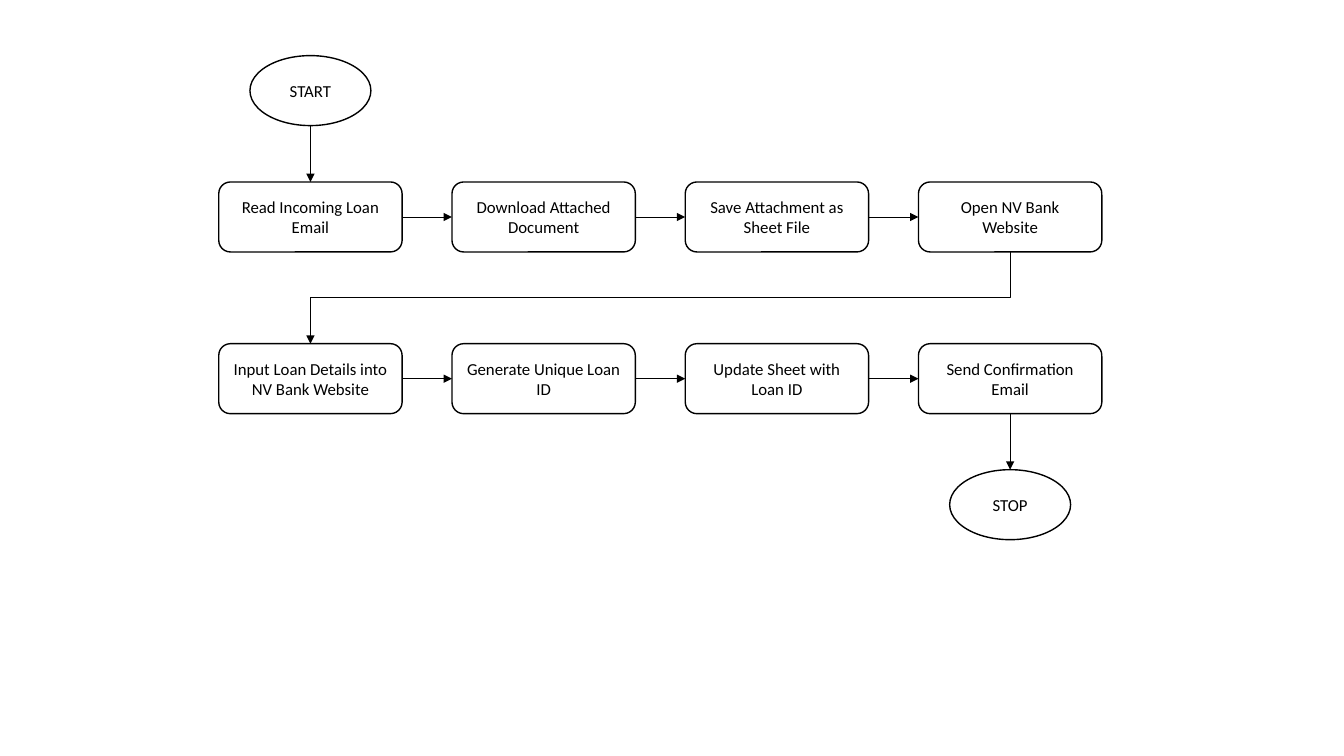
from lxml import etree
from pptx import Presentation
from pptx.dml.color import RGBColor
from pptx.enum.shapes import MSO_CONNECTOR, MSO_SHAPE
from pptx.enum.text import MSO_ANCHOR, PP_ALIGN
from pptx.oxml.ns import qn
from pptx.util import Pt

STEP_SHAPE, TERMINAL_SHAPE = MSO_SHAPE.ROUNDED_RECTANGLE, MSO_SHAPE.OVAL
STRAIGHT, ELBOW = MSO_CONNECTOR.STRAIGHT, MSO_CONNECTOR.ELBOW
CENTER, MIDDLE = PP_ALIGN.CENTER, MSO_ANCHOR.MIDDLE
TOP, LEFT, BOTTOM, RIGHT = range(4)

COLORS = {"ink": "000000", "paper": "FFFFFF"}
FONT = "Calibri"

STEP_WIDTH, TERMINAL_WIDTH, NODE_HEIGHT = 131, 86.4, 50
FIRST_CENTER, COLUMN_PITCH = 221.75, 166.6
START_TOP, STOP_TOP = 39.75, 335.5
ROW_TOPS = (130, 245.5)
STEPS = (
    ("Read Incoming Loan Email", "Download Attached Document",
     "Save Attachment as Sheet File", "Open NV Bank Website"),
    ("Input Loan Details into NV Bank Website", "Generate Unique Loan ID",
     "Update Sheet with Loan ID", "Send Confirmation Email"),
)


def column_center(column):
    return FIRST_CENTER + column * COLUMN_PITCH


def add_node(slide, kind, label, column, top, width):
    """Add an outlined flowchart node centred on its column."""
    left = column_center(column) - width / 2
    node = slide.shapes.add_shape(kind, Pt(left), Pt(top), Pt(width), Pt(NODE_HEIGHT))
    node.shadow.inherit = False
    node.fill.solid()
    node.fill.fore_color.rgb = RGBColor.from_string(COLORS["paper"])
    node.line.color.rgb = RGBColor.from_string(COLORS["ink"])
    node.line.width = Pt(1)
    frame = node.text_frame
    frame.word_wrap = True
    frame.vertical_anchor = MIDDLE
    frame.text = label
    paragraph = frame.paragraphs[0]
    paragraph.alignment = CENTER
    paragraph.font.name = FONT
    paragraph.font.size = Pt(12)
    paragraph.font.color.rgb = RGBColor.from_string(COLORS["ink"])
    return node


def add_arrow(slide, kind, x1, y1, x2, y2):
    arrow = slide.shapes.add_connector(kind, Pt(x1), Pt(y1), Pt(x2), Pt(y2))
    arrow.line.color.rgb = RGBColor.from_string(COLORS["ink"])
    arrow.line.width = Pt(0.5)
    etree.SubElement(arrow.line._get_or_add_ln(), qn("a:tailEnd"), type="triangle")
    etree.SubElement(arrow._element.spPr, qn("a:effectLst"))
    return arrow


def add_step_row(slide, labels, top):
    """Add a row of steps, each joined to the next by an arrow."""
    steps = [add_node(slide, STEP_SHAPE, label, column, top, STEP_WIDTH)
             for column, label in enumerate(labels)]
    middle = top + NODE_HEIGHT / 2
    for column, (step, following) in enumerate(zip(steps, steps[1:])):
        arrow = add_arrow(slide, STRAIGHT,
                          column_center(column) + STEP_WIDTH / 2, middle,
                          column_center(column + 1) - STEP_WIDTH / 2, middle)
        arrow.begin_connect(step, RIGHT)
        arrow.end_connect(following, LEFT)
    return steps


def add_row_return(slide, right, top, left, bottom):
    """Add an elbow arrow that runs down, back to the left and down again."""
    x, y = (left + right) / 2, (top + bottom) / 2
    half_drop, half_run = (bottom - top) / 2, (right - left) / 2
    # The elbow leaves sideways, so it is laid out on its side and turned 90 degrees.
    arrow = add_arrow(slide, ELBOW, x - half_drop, y - half_run,
                      x + half_drop, y + half_run)
    arrow._element.spPr.find(qn("a:xfrm")).set("rot", "5400000")


def main():
    prs = Presentation()
    prs.slide_width, prs.slide_height = Pt(960), Pt(540)
    slide = prs.slides.add_slide(prs.slide_layouts[6])

    first_row, second_row = (add_step_row(slide, labels, top)
                             for labels, top in zip(STEPS, ROW_TOPS))
    last_column = len(first_row) - 1
    first_x, last_x = column_center(0), column_center(last_column)

    add_node(slide, TERMINAL_SHAPE, "START", 0, START_TOP, TERMINAL_WIDTH)
    start_arrow = add_arrow(slide, STRAIGHT, first_x, START_TOP + NODE_HEIGHT,
                            first_x, ROW_TOPS[0])
    start_arrow.end_connect(first_row[0], TOP)

    add_row_return(slide, last_x, ROW_TOPS[0] + NODE_HEIGHT, first_x, ROW_TOPS[1])

    stop = add_node(slide, TERMINAL_SHAPE, "STOP", last_column, STOP_TOP, TERMINAL_WIDTH)
    stop_arrow = add_arrow(slide, STRAIGHT, last_x, ROW_TOPS[1] + NODE_HEIGHT,
                           last_x, STOP_TOP)
    stop_arrow.begin_connect(second_row[-1], BOTTOM)
    stop_arrow.end_connect(stop, TOP)

    prs.save("out.pptx")


if __name__ == "__main__":
    main()
